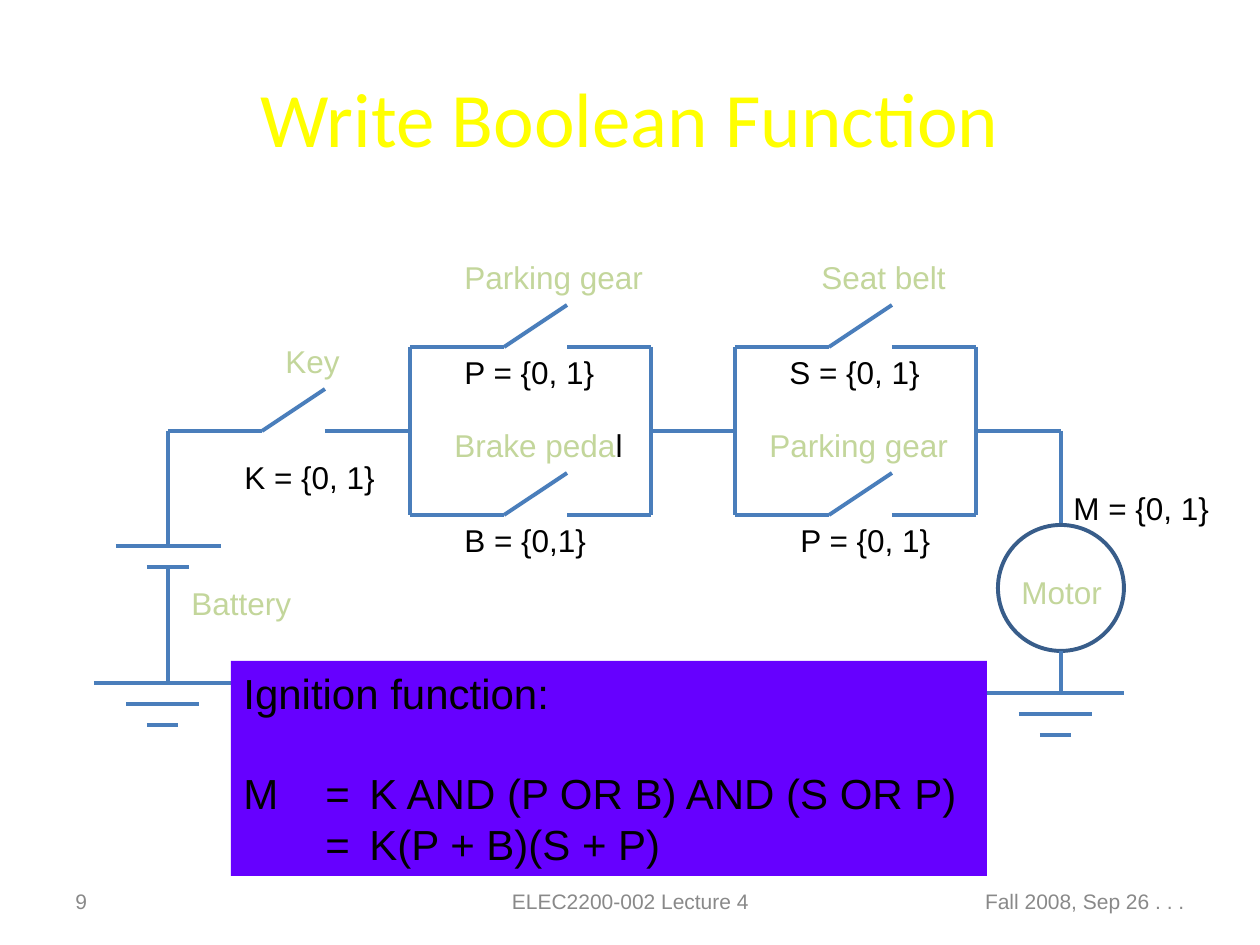
"""Draw the car ignition circuit and its Boolean function on one slide."""
from dataclasses import dataclass

from lxml import etree
from pptx import Presentation
from pptx import util as u
from pptx.dml.color import RGBColor
from pptx.enum import shapes, text
from pptx.oxml.ns import qn


@dataclass(frozen=True)
class Theme:
    """Colours, fonts and type sizes of the slide."""
    title: str = "FFFF00"
    label: str = "C3D69B"
    ink: str = "000000"
    muted: str = "898989"
    wire: str = "4A7EBB"
    motor: str = "385D8A"
    panel: str = "6600FF"
    title_font: str = "Calibri"
    body_font: str = "Arial"
    title_size: int = 44
    formula_size: int = 24
    label_size: int = 18
    footer_size: int = 12
    formula_pitch: float = 28.8
    line_width: float = 2.25


def emu(px):
    """Turn pixels at 126 to the inch into EMU."""
    return u.Emu(round(px * 914400 / 126))


class CircuitPage:
    """Holds the theme and the current slide."""

    def __init__(self, page, theme):
        """Keep the slide and its theme."""
        self.page = page
        self.theme = theme

    def style(self, para, size, color, font=None):
        """Format every run of a paragraph."""
        for span in para.runs:
            span.font.size = u.Pt(size)
            span.font.name = font or self.theme.body_font
            span.font.color.rgb = RGBColor.from_string(color)

    def text(self, words, left, top, width, height, size, color,
             align=text.PP_ALIGN.LEFT, font=None):
        """Add a wrapped, vertically centred line of text."""
        box = self.page.shapes.add_textbox(*map(emu, (left, top, width, height)))
        frame = box.text_frame
        frame.text = words
        frame.word_wrap = True
        frame.vertical_anchor = text.MSO_ANCHOR.MIDDLE
        frame.paragraphs[0].alignment = align
        self.style(frame.paragraphs[0], size, color, font)

    def label(self, words, left, top, width, color, tail=""):
        """Add an unwrapped label, with an optional ending in ink."""
        box = self.page.shapes.add_textbox(*map(emu, (left, top, width, 50)))
        frame = box.text_frame
        frame.text = words
        frame.word_wrap = False
        frame.auto_size = text.MSO_AUTO_SIZE.SHAPE_TO_FIT_TEXT
        para = frame.paragraphs[0]
        if tail:
            para.add_run().text = tail
        self.style(para, self.theme.label_size, color)
        if tail:
            para.runs[-1].font.color.rgb = RGBColor.from_string(self.theme.ink)

    def wire(self, *ends):
        """Add a straight wire between two points."""
        line = self.page.shapes.add_connector(
            shapes.MSO_CONNECTOR.STRAIGHT, *map(emu, ends))
        line.line.color.rgb = RGBColor.from_string(self.theme.wire)
        line.line.width = u.Pt(self.theme.line_width)
        etree.SubElement(line._element.spPr, qn("a:effectLst"))

    def switch(self, left, y):
        """Add an open switch with its two leads."""
        hinge, contact, right = left + 94, left + 157, left + 241
        self.wire(left, y, hinge, y)
        self.wire(hinge, y, contact, y - 42)
        self.wire(contact, y, right, y)

    def switch_pair(self, left, top, bottom):
        """Add two switches in parallel."""
        for y in (top, bottom):
            self.switch(left, y)
        for x in (left, left + 241):
            self.wire(x, top, x, bottom)

    def ground(self, left, top):
        """Add a ground symbol of three shrinking bars."""
        for row, (start, end) in enumerate(((0, 137), (32, 105), (53, 84))):
            y = top + 21 * row
            self.wire(left + start, y, left + end, y)

    def motor(self, left, top, size):
        """Add the motor's outline."""
        circle = self.page.shapes.add_shape(
            shapes.MSO_SHAPE.OVAL, *map(emu, (left, top, size, size)))
        circle.shadow.inherit = False
        circle.fill.background()
        circle.line.color.rgb = RGBColor.from_string(self.theme.motor)
        circle.line.width = u.Pt(self.theme.line_width)

    def formula(self, lines, left, top, width, height, stops):
        """Add the filled panel with a heading and aligned equations."""
        panel = self.page.shapes.add_shape(
            shapes.MSO_SHAPE.RECTANGLE, *map(emu, (left, top, width, height)))
        panel.shadow.inherit = False
        panel.fill.solid()
        panel.fill.fore_color.rgb = RGBColor.from_string(self.theme.panel)
        panel.line.fill.background()
        frame = panel.text_frame
        frame.text = "\n".join(lines)
        frame.word_wrap = True
        frame.vertical_anchor = text.MSO_ANCHOR.TOP
        pitch = u.Pt(self.theme.formula_pitch)
        for para in frame.paragraphs:
            para.alignment = text.PP_ALIGN.LEFT
            para.line_spacing = pitch
            self.style(para, self.theme.formula_size, self.theme.ink)
        frame.paragraphs[1].space_before = pitch
        for para in frame.paragraphs[1:]:
            tabs = etree.SubElement(para._p.get_or_add_pPr(), qn("a:tabLst"))
            for stop in stops:
                etree.SubElement(tabs, qn("a:tab"), pos=str(emu(stop)), algn="l")


def main():
    """Build the deck and save it."""
    theme = Theme()
    deck = Presentation()
    deck.slide_width, deck.slide_height = emu(1260), emu(945)
    circuit = CircuitPage(deck.slides.add_slide(deck.slide_layouts[6]), theme)

    circuit.text("Write Boolean Function", 63, 38, 1134, 157, theme.title_size,
                 theme.title, text.PP_ALIGN.CENTER, theme.title_font)
    for words, left, width, align in (
            ("Fall 2008, Sep 26 . . .", 903, 294, text.PP_ALIGN.RIGHT),
            ("ELEC2200-002 Lecture 4", 431, 399, text.PP_ALIGN.CENTER),
            ("9", 63, 294, text.PP_ALIGN.LEFT)):
        circuit.text(words, left, 876, width, 50, theme.footer_size, theme.muted, align)

    upper, middle, lower = 347, 431, 515
    battery, gear, belt, motor = 168, 410, 735, 1061
    circuit.wire(116, 546, 221, 546)
    circuit.wire(147, 567, 189, 567)
    circuit.wire(battery, 546, battery, middle)
    circuit.wire(battery, 567, battery, 683)
    circuit.switch(battery, middle)
    for left in (gear, belt):
        circuit.switch_pair(left, upper, lower)
    circuit.wire(gear + 241, middle, belt, middle)
    circuit.wire(belt + 241, middle, motor, middle)
    circuit.wire(motor, middle, motor, 525)
    circuit.motor(motor - 63, 525, 126)
    circuit.wire(motor, 651, motor, 693)
    circuit.ground(94, 683)
    circuit.ground(987, 693)

    for words, left, top, width, *tail in (
            ("Battery", 179, 578, 129), ("Key", 273, 336, 83),
            ("Parking gear", 452, 252, 207), ("Brake peda", 442, 420, 197, "l"),
            ("Parking gear", 757, 420, 207), ("Seat belt", 809, 252, 153),
            ("Motor", 1009, 567, 110)):
        circuit.label(words, left, top, width, theme.label, *tail)
    for words, left, top, width in (
            ("K = {0, 1}", 232, 452, 160), ("P = {0, 1}", 452, 347, 160),
            ("B = {0,1}", 452, 515, 151), ("P = {0, 1}", 788, 515, 160),
            ("S = {0, 1}", 777, 347, 160), ("M = {0, 1}", 1061, 483, 165)):
        circuit.label(words, left, top, width, theme.ink)

    circuit.formula(("Ignition function:", "M\t=\tK AND (P OR B) AND (S OR P)",
                     "\t=\tK(P + B)(S + P)"), 231, 661, 756, 215, (82, 126))
    deck.save("out.pptx")


if __name__ == "__main__":
    main()
